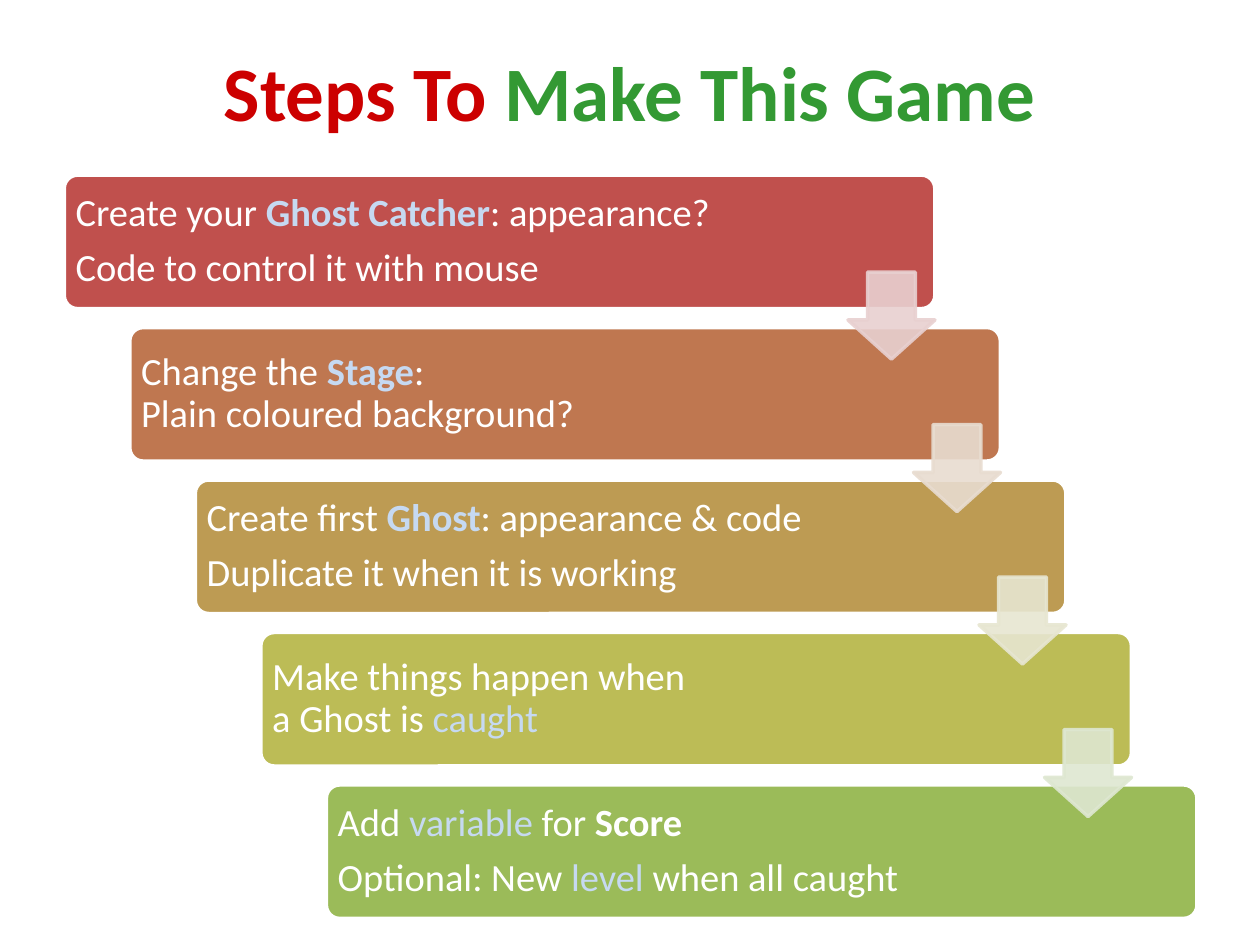
"""Build a slide with a staircase of five game-making steps joined by arrows."""
import lxml.etree
import pptx
import pptx.dml.color
import pptx.enum.shapes
import pptx.enum.text
import pptx.oxml.ns
import pptx.util

Inches = pptx.util.Inches
Pt = pptx.util.Pt
RGBColor = pptx.dml.color.RGBColor
MSO_SHAPE = pptx.enum.shapes.MSO_SHAPE
PP_ALIGN = pptx.enum.text.PP_ALIGN

FONT = "Calibri"
WHITE = RGBColor(0xFF, 0xFF, 0xFF)
PALE_BLUE = RGBColor(0xC6, 0xD9, 0xF1)
RED = RGBColor(0xCC, 0x00, 0x00)
GREEN = RGBColor(0x33, 0x99, 0x33)
STEP_COLORS = [
    RGBColor(0xC0, 0x50, 0x4D),
    RGBColor(0xBF, 0x77, 0x50),
    RGBColor(0xBD, 0x9B, 0x53),
    RGBColor(0xBC, 0xBC, 0x56),
    RGBColor(0x9B, 0xBB, 0x59),
]
ARROW_COLORS = [
    RGBColor(0xE8, 0xD0, 0xD0),
    RGBColor(0xE8, 0xDC, 0xD0),
    RGBColor(0xE7, 0xE6, 0xD1),
    RGBColor(0xDE, 0xE7, 0xD1),
]

STEP_LEFT, STEP_TOP = 0.51, 1.39
STEP_WIDTH, STEP_HEIGHT, TEXT_WIDTH = 6.91, 1.06, 5.71
ARROW_LEFT, ARROW_TOP, ARROW_SIZE = 6.73, 2.16, 0.69
SHIFT_X, SHIFT_Y = 0.52, 1.21

TITLE = [[("Steps To ", RED, True), ("Make This Game", GREEN, True)]]
STEPS = [
    [
        [("Create your ", WHITE, False), ("Ghost Catcher", PALE_BLUE, True),
         (": appearance?", WHITE, False)],
        [("Code to control it with mouse", WHITE, False)],
    ],
    [
        [("Change the ", WHITE, False), ("Stage", PALE_BLUE, True),
         (":\nPlain coloured background?", WHITE, False)],
    ],
    [
        [("Create first ", WHITE, False), ("Ghost", PALE_BLUE, True),
         (": appearance & code", WHITE, False)],
        [("Duplicate it when it is working", WHITE, False)],
    ],
    [
        [("Make things happen when\na Ghost is ", WHITE, False),
         ("caught", PALE_BLUE, False)],
    ],
    [
        [("Add ", WHITE, False), ("variable", PALE_BLUE, False),
         (" for ", WHITE, False), ("Score", WHITE, True)],
        [("Optional: New ", WHITE, False), ("level", PALE_BLUE, False),
         (" when all caught", WHITE, False)],
    ],
]


def add_run(p, text, size, color, bold):
    """Add one formatted run, turning newlines into line breaks."""
    for i, line in enumerate(text.split("\n")):
        if i:
            p.add_line_break()
        r = p.add_run()
        r.text = line
        r.font.name = FONT
        r.font.size = Pt(size)
        r.font.bold = bold
        r.font.color.rgb = color


def add_text(slide, box, paragraphs, size, align=PP_ALIGN.LEFT):
    """Add a middle-anchored text box and return its text frame."""
    tf = slide.shapes.add_textbox(*map(Inches, box)).text_frame
    tf.word_wrap = True
    tf.vertical_anchor = pptx.enum.text.MSO_ANCHOR.MIDDLE
    for i, runs in enumerate(paragraphs):
        p = tf.add_paragraph() if i else tf.paragraphs[0]
        p.alignment = align
        for text, color, bold in runs:
            add_run(p, text, size, color, bold)
    return tf


def add_block(slide, kind, box, adjustments, fill, line):
    """Add a filled and outlined preset shape."""
    sp = slide.shapes.add_shape(kind, *map(Inches, box))
    sp.shadow.inherit = False
    for i, value in enumerate(adjustments):
        sp.adjustments[i] = value
    sp.fill.solid()
    sp.fill.fore_color.rgb = fill
    sp.line.color.rgb = line
    sp.line.width = Pt(2)
    return sp


def add_step(slide, index, paragraphs, color):
    """Add one stair of the staircase with its text."""
    left, top = STEP_LEFT + index * SHIFT_X, STEP_TOP + index * SHIFT_Y
    add_block(slide, MSO_SHAPE.ROUNDED_RECTANGLE,
              (left, top, STEP_WIDTH, STEP_HEIGHT), [0.1], color, WHITE)
    tf = add_text(slide, (left, top, TEXT_WIDTH, STEP_HEIGHT), paragraphs, 22)
    tf.margin_left = tf.margin_right = Inches(0.09)
    tf.margin_top = tf.margin_bottom = Inches(0.09)
    for p in tf.paragraphs:
        p.line_spacing = 0.9
        p.space_after = Pt(7.7)


def add_arrow(slide, index, color):
    """Add a slightly transparent arrow from one stair to the next."""
    box = (ARROW_LEFT + index * SHIFT_X, ARROW_TOP + index * SHIFT_Y,
           ARROW_SIZE, ARROW_SIZE)
    sp = add_block(slide, MSO_SHAPE.DOWN_ARROW, box, [0.55, 0.45], color, color)
    qn = pptx.oxml.ns.qn
    for clr in sp.element.spPr.findall(".//" + qn("a:srgbClr")):
        lxml.etree.SubElement(clr, qn("a:alpha"), val="90000")


def main():
    """Build and save the slide."""
    prs = pptx.Presentation()
    prs.slide_width, prs.slide_height = Inches(10), Inches(7.5)
    slide = prs.slides.add_slide(prs.slide_layouts[6])
    add_text(slide, (0.5, 0.13, 9, 1.18), TITLE, 44, PP_ALIGN.CENTER)
    for i, (paragraphs, color) in enumerate(zip(STEPS, STEP_COLORS)):
        add_step(slide, i, paragraphs, color)
    for i, color in enumerate(ARROW_COLORS):
        add_arrow(slide, i, color)
    prs.save("out.pptx")


if __name__ == "__main__":
    main()
